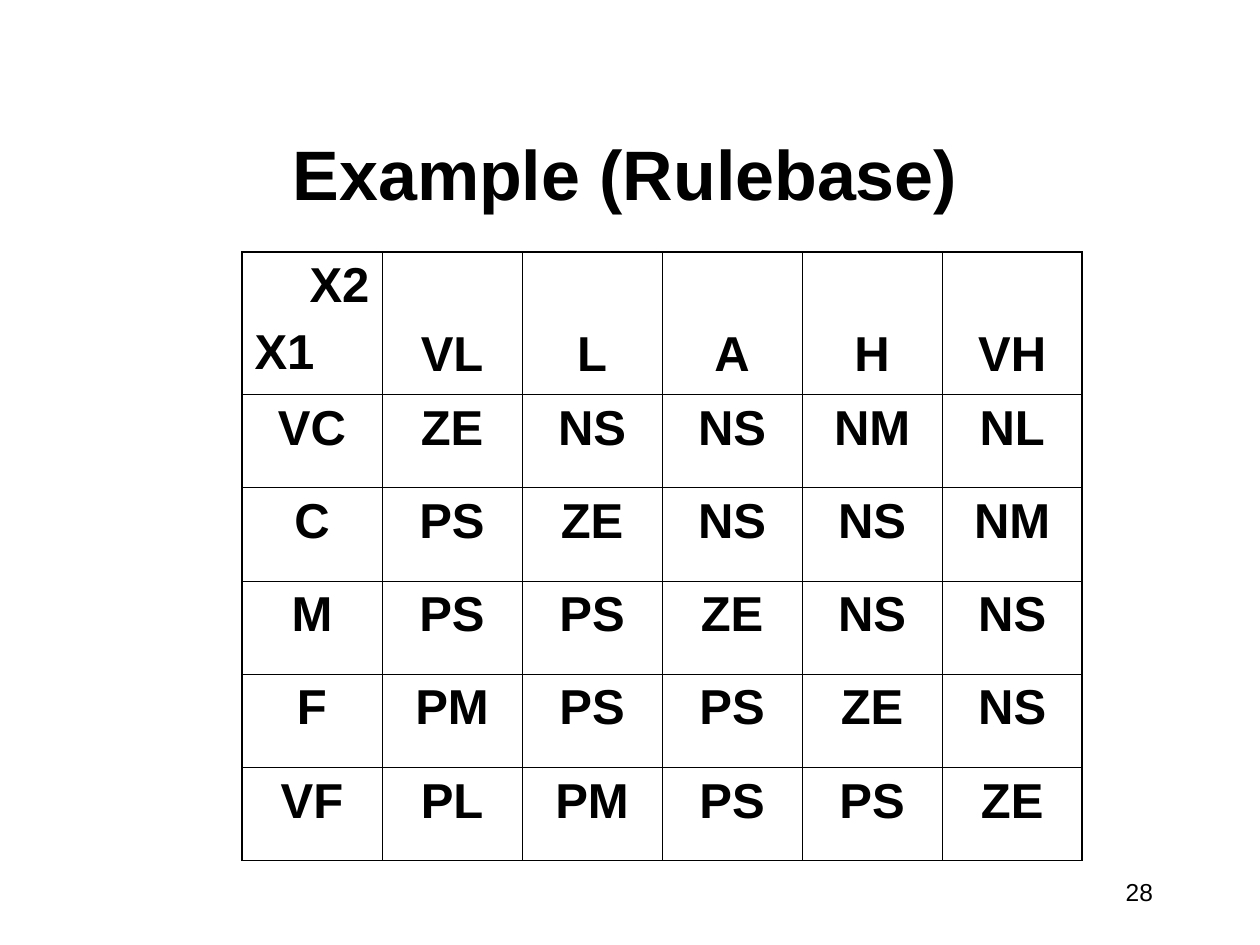
from dataclasses import dataclass

import pptx
import pptx.dml.color
import pptx.enum.text
import pptx.util
from lxml import etree
from pptx.oxml.ns import qn
from pptx.util import Inches

ALIGN = pptx.enum.text.PP_ALIGN
ANCHOR = pptx.enum.text.MSO_ANCHOR


@dataclass(frozen=True)
class Theme:
    font: str = "Arial"
    ink: str = "000000"
    title_size: float = 40
    table_size: float = 28
    number_size: float = 14
    paragraph_gap: float = 7
    inner_line: float = 0.45
    outer_line: float = 1.08


THEME = Theme()

X2_TERMS = ["VL", "L", "A", "H", "VH"]
RULES = {
    "VC": ["ZE", "NS", "NS", "NM", "NL"],
    "C": ["PS", "ZE", "NS", "NS", "NM"],
    "M": ["PS", "PS", "ZE", "NS", "NS"],
    "F": ["PM", "PS", "PS", "ZE", "NS"],
    "VF": ["PL", "PM", "PS", "PS", "ZE"],
}


def write_text(paragraph, text, *, size, align=ALIGN.CENTER, bold=True, before=0):
    paragraph.alignment = align
    paragraph.space_before = pptx.util.Pt(before)
    run = paragraph.add_run()
    run.text = text
    run.font.name = THEME.font
    run.font.size = pptx.util.Pt(size)
    run.font.bold = bold
    run.font.color.rgb = pptx.dml.color.RGBColor.from_string(THEME.ink)


def add_title(slide, text):
    title = slide.shapes.title
    title.left, title.top = Inches(0.67), Inches(1)
    title.width, title.height = Inches(8.58), Inches(0.75)
    frame = title.text_frame
    frame.auto_size = pptx.enum.text.MSO_AUTO_SIZE.NONE
    frame.vertical_anchor = ANCHOR.BOTTOM
    write_text(frame.paragraphs[0], text, size=THEME.title_size)


def add_page_number(slide, number):
    box = slide.shapes.add_textbox(Inches(8.58), Inches(6.83), Inches(0.67), Inches(0.5))
    frame = box.text_frame
    frame.word_wrap = False
    frame.vertical_anchor = ANCHOR.MIDDLE
    write_text(frame.paragraphs[0], str(number), size=THEME.number_size,
               align=ALIGN.RIGHT, bold=False)


def set_borders(cell, outer_sides):
    """Draw all four sides, with the heavier line on those in outer_sides."""
    properties = cell._tc.get_or_add_tcPr()
    for side in "LRTB":
        width = THEME.outer_line if side in outer_sides else THEME.inner_line
        line = etree.SubElement(properties, qn(f"a:ln{side}"), w=str(pptx.util.Pt(width)))
        fill = etree.SubElement(line, qn("a:solidFill"))
        etree.SubElement(fill, qn("a:srgbClr"), val=THEME.ink)


def write_corner(cell):
    frame = cell.text_frame
    write_text(frame.paragraphs[0], "X2", size=THEME.table_size, align=ALIGN.RIGHT)
    write_text(frame.add_paragraph(), "X1", size=THEME.table_size,
               align=ALIGN.LEFT, before=THEME.paragraph_gap)


def add_rule_table(slide):
    rows = [["", *X2_TERMS]] + [[term, *outputs] for term, outputs in RULES.items()]
    last_row, last_column = len(rows) - 1, len(X2_TERMS)
    table = slide.shapes.add_table(len(rows), last_column + 1, Inches(1.92), Inches(2),
                                   Inches(6.67), Inches(4.83)).table
    table.first_row = table.horz_banding = False
    for index, row in enumerate(table.rows):
        row.height = Inches(0.74 if index else 1.13)

    for row_index, texts in enumerate(rows):
        for column_index, text in enumerate(texts):
            cell = table.cell(row_index, column_index)
            edges = {"T": row_index == 0, "B": row_index == last_row,
                     "L": column_index == 0, "R": column_index == last_column}
            set_borders(cell, [side for side, is_outer in edges.items() if is_outer])
            cell.fill.background()
            if not text:
                write_corner(cell)
                continue
            write_text(cell.text_frame.paragraphs[0], text, size=THEME.table_size)
            if row_index == 0:
                cell.vertical_anchor = ANCHOR.BOTTOM
                cell.margin_bottom = Inches(0.1)


def main():
    presentation = pptx.Presentation()
    presentation.slide_width, presentation.slide_height = Inches(10), Inches(7.5)
    slide = presentation.slides.add_slide(presentation.slide_layouts.get_by_name("Title Only"))
    add_page_number(slide, 28)
    add_title(slide, "Example (Rulebase)")
    add_rule_table(slide)
    presentation.save("out.pptx")


if __name__ == "__main__":
    main()
